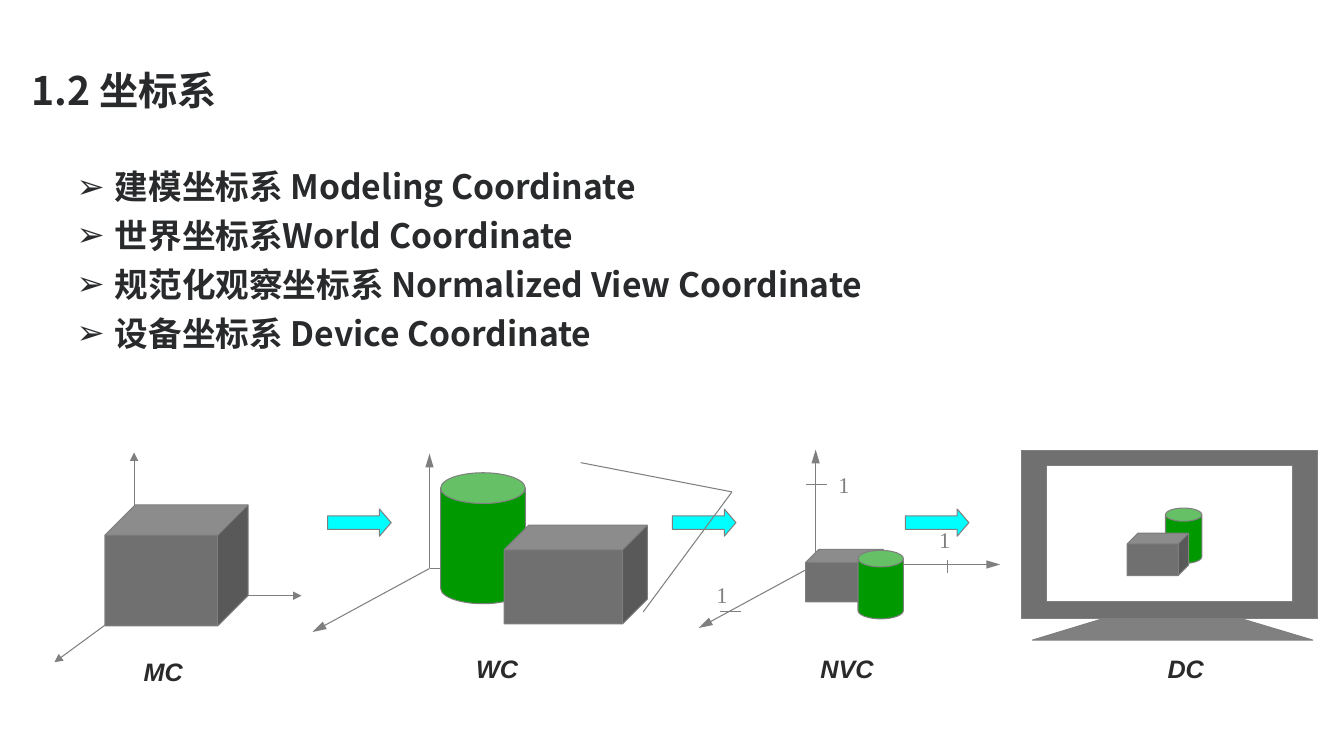
"""Build the slide on the four coordinate systems of the viewing pipeline."""
from dataclasses import dataclass
from typing import Any

import lxml.etree
import pptx
import pptx.dml.color
import pptx.enum.shapes
import pptx.enum.text
import pptx.oxml
import pptx.oxml.ns
import pptx.util

Inches = pptx.util.Inches
Pt = pptx.util.Pt
Preset = pptx.enum.shapes.MSO_SHAPE
Align = pptx.enum.text.PP_ALIGN
Anchor = pptx.enum.text.MSO_ANCHOR
qn = pptx.oxml.ns.qn


@dataclass(frozen=True)
class Theme:
    heading_font: str = "Noto Sans CJK SC"
    label_font: str = "Arial"
    tick_font: str = "Times New Roman"
    title_size: int = 28
    body_size: int = 24
    label_size: int = 18
    tick_size: int = 16
    line_width: float = 0.75
    text: str = "282A2C"
    label: str = "2A2A2A"
    outline: str = "7F7F7F"
    box: str = "707070"
    stand: str = "808080"
    cylinder: str = "009900"
    arrow: str = "00FFFF"
    screen: str = "FFFFFF"


THEME = Theme()


@dataclass(frozen=True)
class Stroke:
    start: tuple[float, float]
    end: tuple[float, float]
    head_length: str = ""


@dataclass(frozen=True)
class Solid:
    preset: Any
    frame: tuple[float, float, float, float]
    fill: str
    adjustments: tuple[float, ...] = ()


@dataclass(frozen=True)
class Caption:
    words: str
    left: float
    top: float
    is_tick: bool = False


def color(code: str) -> Any:
    return pptx.dml.color.RGBColor.from_string(code)


def apply(target: Any, values: dict[str, Any]) -> None:
    for name, value in values.items():
        setattr(target, name, value)


def place(shape: Any, frame: tuple[float, float, float, float]) -> None:
    apply(shape, dict(zip(("left", "top", "width", "height"), map(Inches, frame))))


def format_run(run: Any, ink: str, **values: Any) -> None:
    apply(run.font, values)
    run.font.color.rgb = color(ink)
    east_asian = lxml.etree.SubElement(run.font._element, qn("a:ea"))
    east_asian.set("typeface", values["name"])


def outline(shape: Any) -> None:
    shape.line.color.rgb = color(THEME.outline)
    shape.line.width = Pt(THEME.line_width)


def finish(shape: Any, fill: str) -> None:
    shape.shadow.inherit = False
    shape.fill.solid()
    shape.fill.fore_color.rgb = color(fill)
    outline(shape)


def draw_stroke(shapes: Any, stroke: Stroke) -> None:
    connector = shapes.add_connector(
        pptx.enum.shapes.MSO_CONNECTOR.STRAIGHT,
        *map(Inches, stroke.start + stroke.end))
    outline(connector)
    if stroke.head_length:
        tail = lxml.etree.SubElement(connector.line._get_or_add_ln(), qn("a:tailEnd"))
        for name, value in {"type": "triangle", "w": "med", "len": stroke.head_length}.items():
            tail.set(name, value)
    lxml.etree.SubElement(connector._element.spPr, qn("a:effectLst"))


def draw_solid(shapes: Any, solid: Solid) -> None:
    shape = shapes.add_shape(solid.preset, *map(Inches, solid.frame))
    for index, value in enumerate(solid.adjustments):
        shape.adjustments[index] = value
    finish(shape, solid.fill)


def draw_caption(shapes: Any, caption: Caption) -> None:
    width, height = (0.68, 0.37) if caption.is_tick else (2.62, 0.4)
    box = shapes.add_textbox(*map(Inches, (caption.left, caption.top, width, height)))
    box.text_frame.word_wrap = True
    paragraph = box.text_frame.paragraphs[0]
    paragraph.alignment = Align.CENTER
    run = paragraph.add_run()
    run.text = caption.words
    if caption.is_tick:
        format_run(run, THEME.outline, name=THEME.tick_font, size=Pt(THEME.tick_size))
    else:
        format_run(run, THEME.label, name=THEME.label_font, size=Pt(THEME.label_size),
                   bold=True, italic=True)


def draw_stand(shapes: Any) -> None:
    builder = shapes.build_freeform(Inches(10.24), Inches(6.35), scale=1.0)
    corners = ((10.93, 6.14), (12.32, 6.14), (13.02, 6.35))
    builder.add_line_segments([(Inches(x), Inches(y)) for x, y in corners], close=True)
    finish(builder.convert_to_shape(), THEME.stand)


def cube(*frame: float) -> Solid:
    return Solid(Preset.CUBE, frame, THEME.box, (0.25,))


def can(*frame: float) -> Solid:
    return Solid(Preset.CAN, frame, THEME.cylinder, (0.364,))


def axes(x: float, y: float, right_head: str) -> list[Stroke]:
    return [Stroke((x, y), (x, y - 1.14), "lg"),
            Stroke((x, y), (x + 1.83, y), right_head),
            Stroke((x, y), (x - 1.16, y + 0.63), "lg")]


def write_title(title: Any) -> None:
    place(title, (0.26, 0.3, 12, 1.25))
    frame = title.text_frame
    inset = Inches(0.05)
    apply(frame, {"vertical_anchor": Anchor.MIDDLE, "word_wrap": True,
                  "auto_size": pptx.enum.text.MSO_AUTO_SIZE.NONE,
                  "margin_left": inset, "margin_right": inset,
                  "margin_top": inset, "margin_bottom": inset})
    paragraph = frame.paragraphs[0]
    apply(paragraph, {"alignment": Align.LEFT, "line_spacing": 0.9})
    run = paragraph.add_run()
    run.text = "1.2 坐标系"
    format_run(run, THEME.text, name=THEME.heading_font, size=Pt(THEME.title_size), bold=True)


def write_systems(body: Any, systems: tuple[str, ...]) -> None:
    place(body, (0.26, 1.55, 13.07, 4.56))
    frame = body.text_frame
    inset = Inches(0.1)
    apply(frame, {"vertical_anchor": Anchor.TOP, "word_wrap": True,
                  "auto_size": pptx.enum.text.MSO_AUTO_SIZE.NONE,
                  "margin_left": inset, "margin_right": inset,
                  "margin_top": inset, "margin_bottom": inset})
    for index, system in enumerate(systems):
        paragraph = frame.add_paragraph() if index else frame.paragraphs[0]
        properties = paragraph._p.get_or_add_pPr()
        properties.set("marL", str(Inches(0.78)))
        properties.set("indent", str(Inches(-0.38)))
        lxml.etree.SubElement(properties, qn("a:buFont")).set("typeface", "Arial")
        lxml.etree.SubElement(properties, qn("a:buChar")).set("char", "➢")
        apply(paragraph, {"alignment": Align.LEFT, "line_spacing": 1.0,
                          "space_before": Pt(6 if index else 0)})
        run = paragraph.add_run()
        run.text = system
        format_run(run, THEME.text, name=THEME.heading_font, size=Pt(THEME.body_size), bold=True)


def draw_all(shapes: Any, parts: list[Any]) -> None:
    painters = {Stroke: draw_stroke, Solid: draw_solid, Caption: draw_caption}
    for part in parts:
        painters[type(part)](shapes, part)


def main() -> None:
    deck = pptx.Presentation()
    apply(deck, {"slide_width": Inches(13.33), "slide_height": Inches(7.5)})
    slide = deck.slides.add_slide(deck.slide_layouts[1])
    write_title(slide.shapes.title)
    write_systems(slide.placeholders[1], (
        "建模坐标系 Modeling Coordinate", "世界坐标系World Coordinate",
        "规范化观察坐标系 Normalized View Coordinate", "设备坐标系 Device Coordinate"))
    modeling = [Stroke((1.33, 5.99), (0.54, 6.57), "med"),
                Stroke((1.33, 5.95), (1.33, 4.49), "med"),
                Stroke((1.3, 5.91), (2.99, 5.91), "med"),
                cube(1.04, 5.01, 1.42, 1.2), Caption("MC", 0.31, 6.46)]
    world = axes(4.26, 5.64, "") + [
        can(4.37, 4.69, 0.84, 1.3), cube(5, 5.21, 1.42, 0.98), Caption("WC", 3.62, 6.43)]
    normalized = axes(8.09, 5.6, "lg") + [
        cube(7.99, 5.45, 0.77, 0.52), can(8.51, 5.46, 0.45, 0.68),
        Stroke((9.4, 5.56), (9.4, 5.68)), Stroke((7.99, 4.81), (8.2, 4.81)),
        Stroke((7.14, 6.07), (7.35, 6.07))]
    normalized += [Caption("1", left, top, True)
                   for left, top in ((8.03, 4.62), (9.03, 5.17), (6.82, 5.72))]
    normalized.append(Caption("NVC", 7.09, 6.43))
    device = [Solid(Preset.RECTANGLE, (10.13, 4.47, 2.94, 1.67), THEME.box),
              Solid(Preset.RECTANGLE, (10.38, 4.62, 2.44, 1.35), THEME.screen),
              can(11.56, 5.04, 0.36, 0.55), cube(11.18, 5.29, 0.61, 0.42),
              Caption("DC", 10.45, 6.43)]
    steps = [Solid(Preset.RIGHT_ARROW, (left, 5.05, 0.63, 0.27), THEME.arrow, (0.5, 0.43))
             for left in (3.25, 6.67, 8.98)]
    view = [Stroke((7.26, 4.88), end) for end in ((5.76, 4.59), (6.38, 6.07))]
    draw_all(slide.shapes, modeling + world + normalized)
    draw_stand(slide.shapes)
    draw_all(slide.shapes, device + steps + view)
    deck.save("out.pptx")


if __name__ == "__main__":
    main()
